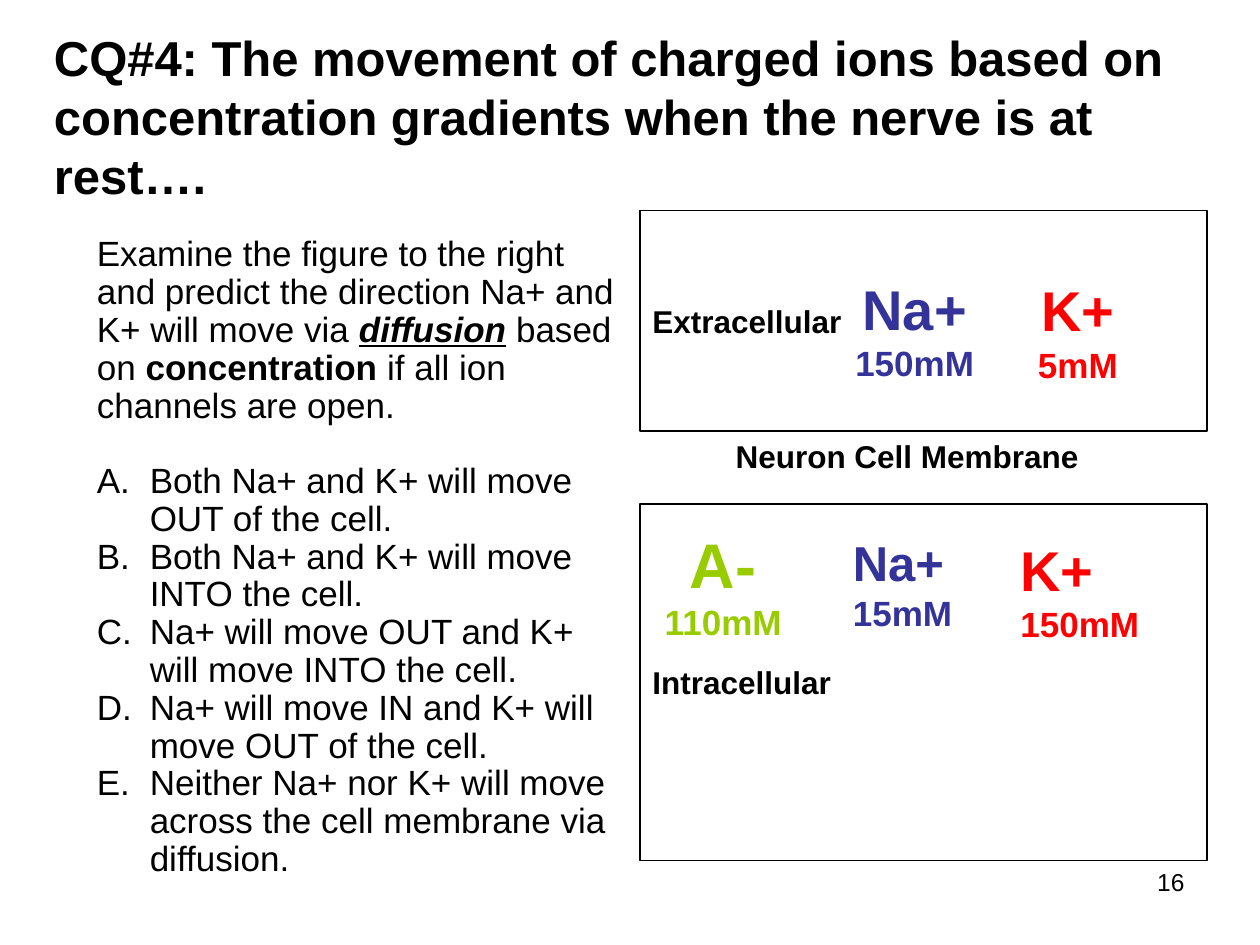
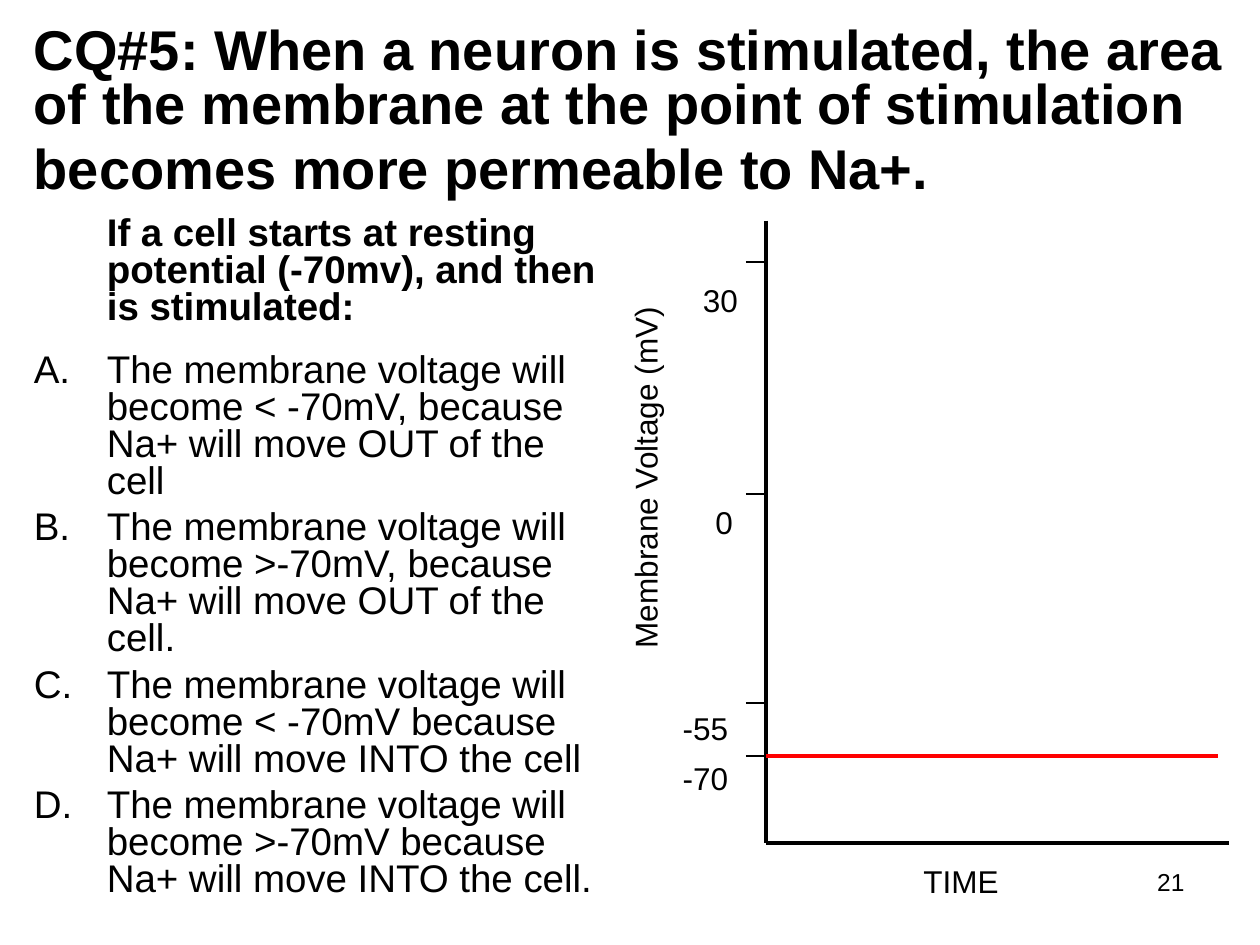
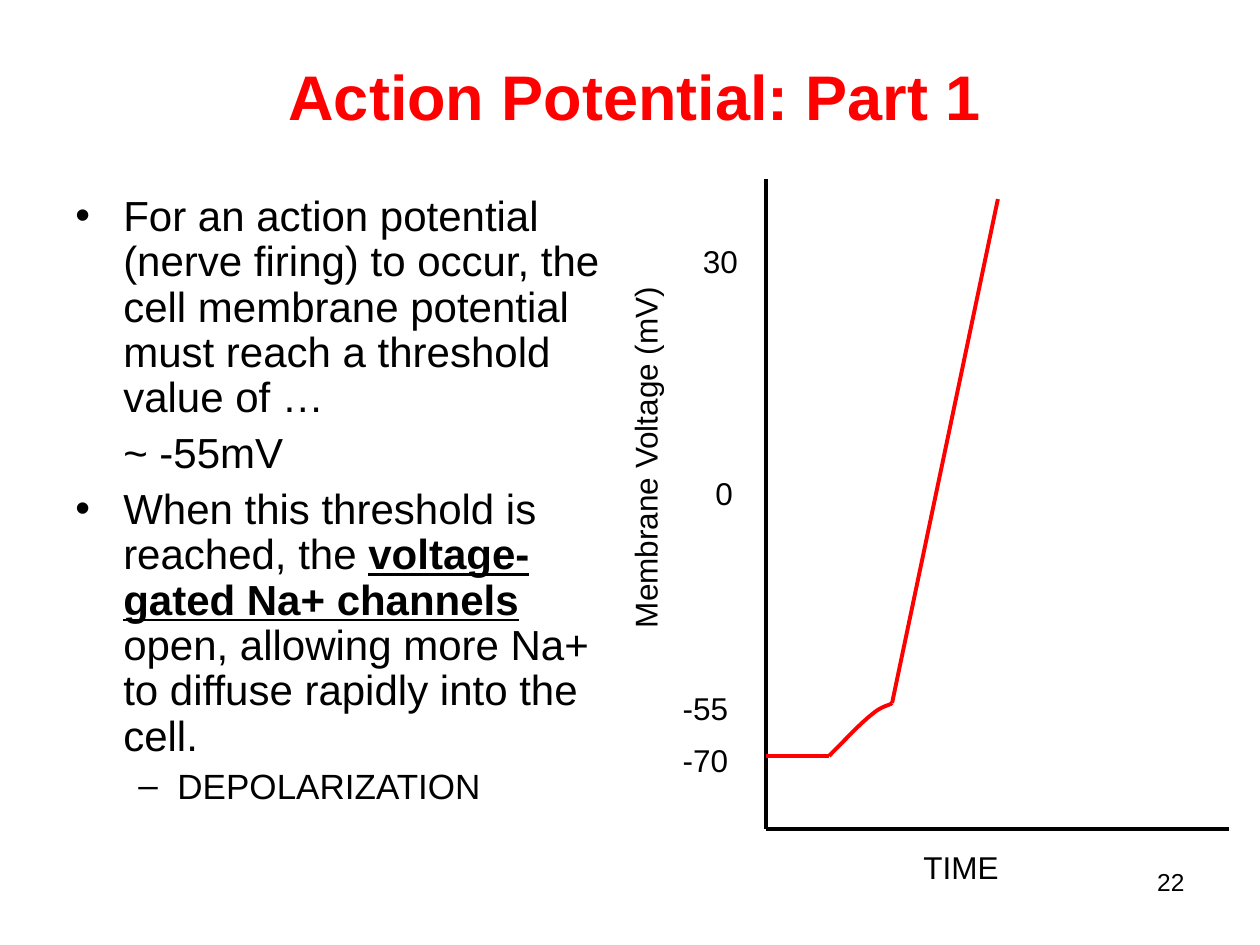
import pptx
import pptx.util
import pptx.dml.color
import pptx.enum.shapes
import pptx.enum.text
import pptx.oxml
import pptx.oxml.ns
from lxml import etree

Inches, Pt = pptx.util.Inches, pptx.util.Pt
RGBColor = pptx.dml.color.RGBColor
ALIGN = pptx.enum.text.PP_ALIGN
ANCHOR = pptx.enum.text.MSO_ANCHOR
AUTO_SIZE = pptx.enum.text.MSO_AUTO_SIZE

BLACK = RGBColor(0x00, 0x00, 0x00)
WHITE = RGBColor(0xFF, 0xFF, 0xFF)
RED = RGBColor(0xFF, 0x00, 0x00)
SODIUM_BLUE = RGBColor(0x33, 0x33, 0x99)
ANION_GREEN = RGBColor(0x99, 0xCC, 0x00)
FONT = "Arial"
THIN, THICK = 0.75, 2.25

# ---- Content: a text is a string, or a list of (string, format) runs ----
BOLD = {"bold": True}
LETTERED = ("buAutoNum", {"type": "alphaUcPeriod"})
DOT = ("buChar", {"char": "•"})
DASH = ("buChar", {"char": "–"})

DIFFUSION = {
    "number": "16",
    "title": "CQ#4: The movement of charged ions based on concentration "
             "gradients when the nerve is at rest….",
    "question": [
        ("Examine the figure to the right and predict the direction Na+ and "
         "K+ will move via ", {}),
        ("diffusion", {"bold": True, "italic": True, "underline": True}),
        (" based on ", {}), ("concentration", BOLD),
        (" if all ion channels are open.", {})],
    "answers": [
        "Both Na+ and K+ will move OUT of the cell.",
        "Both Na+ and K+ will move INTO the cell.",
        "Na+ will move OUT and K+ will move INTO the cell.",
        "Na+ will move IN and K+ will move OUT of the cell.",
        "Neither Na+ nor K+ will move across the cell membrane via diffusion."],
    "membrane": "Neuron Cell Membrane",
    # name, top, height
    "compartments": [("Extracellular", 1.67, 1.75), ("Intracellular", 4, 2.83)],
    # ion, concentration, ion size, colour, alignment, box
    "ions": [
        ("Na+", "150mM", 32, SODIUM_BLUE, ALIGN.CENTER, (6.66, 2.13, 1.2, 0.97)),
        ("K+", "5mM", 32, RED, ALIGN.CENTER, (8.11, 2.14, 0.89, 0.97)),
        ("A-", "110mM", 36, ANION_GREEN, ALIGN.CENTER, (5.14, 4.12, 1.2, 1.04)),
        ("Na+", "15mM", 28, SODIUM_BLUE, ALIGN.LEFT, (6.67, 4.18, 1.05, 0.9)),
        ("K+", "150mM", 32, RED, ALIGN.LEFT, (8, 4.2, 1.2, 0.97))],
}

STIMULUS = {
    "number": "21",
    "title": [("CQ#5: When a neuron is stimulated, the area of the membrane at "
               "the point of stimulation becomes more permeable to Na+.", BOLD),
              (" ", {"size": 40, "bold": False})],
    "question": "If a cell starts at resting potential (-70mv), and then is "
                "stimulated:",
    "answers": [
        "The membrane voltage will become < -70mV, because Na+ will move OUT of the cell",
        "The membrane voltage will become >-70mV, because Na+ will move OUT of the cell.",
        "The membrane voltage will become < -70mV because Na+ will move INTO the cell",
        "The membrane voltage will become >-70mV because Na+ will move INTO the cell."],
}

ACTION = {
    "number": "22",
    "title": "Action Potential: Part 1",
    "threshold": "For an action potential (nerve firing) to occur, the cell "
                 "membrane potential must reach a threshold value of …",
    "value": "~ -55mV",
    "channels": [("When this threshold is reached, the ", {}),
                 ("voltage-gated Na+ channels", {"bold": True, "underline": True}),
                 (" open, allowing more Na+ to diffuse rapidly into the cell.", {})],
    "phase": "DEPOLARIZATION",
}

# Voltage graph, shared by two slides
AXIS_X, AXIS_END = 6.08, 9.75
TICK_START = 5.92
REST_Y, THRESHOLD_Y = 6, 5.58
VOLTAGE_TICKS = [2.08, 3.92, THRESHOLD_Y, REST_Y]
# label, left, width, top as a share of the axis height
SCALE_LABELS = [("30", 5.48, 0.52, 0.087), ("0", 5.58, 0.38, 0.444),
                ("-55", 5.32, 0.6, 0.775), ("-70", 5.32, 0.6, 0.855),
                ("TIME", 7.23, 0.9, 1.02)]


# ---- Helpers ----
def format_font(font, formats):
    for name, value in formats.items():
        if name == "color":
            font.color.rgb = value
        else:
            setattr(font, name, Pt(value) if name == "size" else value)


def para(text, left=0, first=0, bullet=None, before=0, **formats):
    return {"text": text, "left": left, "first": first, "bullet": bullet,
            "before": before, "formats": formats}


def set_bullet(paragraph, left, first, bullet):
    properties = paragraph._p.get_or_add_pPr()
    properties.set("marL", str(Inches(left)))
    properties.set("indent", str(Inches(first)))
    parts = [("buFont", {"typeface": FONT}), bullet] if bullet else [("buNone", {})]
    for tag, attributes in parts:
        etree.SubElement(properties, pptx.oxml.ns.qn("a:" + tag), attributes)


def write(frame, paragraphs, size, color=BLACK, bold=False, align=ALIGN.LEFT,
          spacing=None):
    base = {"name": FONT, "size": size, "color": color, "bold": bold}
    for index, item in enumerate(paragraphs):
        item = para(item) if isinstance(item, str) else item
        paragraph = frame.paragraphs[0] if index == 0 else frame.add_paragraph()
        set_bullet(paragraph, item["left"], item["first"], item["bullet"])
        paragraph.alignment = align
        paragraph.space_before = Pt(item["before"])
        if spacing:
            paragraph.line_spacing = spacing
        runs = item["text"]
        for text, formats in [(runs, {})] if isinstance(runs, str) else runs:
            run = paragraph.add_run()
            run.text = text
            format_font(run.font, {**base, **item["formats"], **formats})


def add_text(slide, box, paragraphs, size, anchor=ANCHOR.TOP, fit=False, **style):
    text_box = slide.shapes.add_textbox(*map(Inches, box))
    frame = text_box.text_frame
    frame.word_wrap = not fit
    frame.auto_size = AUTO_SIZE.NONE
    frame.vertical_anchor = anchor
    write(frame, paragraphs, size, **style)
    return text_box


def add_line(slide, start, end, color=BLACK, width=THICK):
    line = slide.shapes.add_connector(
        pptx.enum.shapes.MSO_CONNECTOR.STRAIGHT, *map(Inches, (*start, *end)))
    line.line.color.rgb = color
    line.line.width = Pt(width)
    etree.SubElement(line._element.spPr, pptx.oxml.ns.qn("a:effectLst"))


def add_curve(slide, start, segments):
    points = []
    current = start
    for control_1, control_2, end in segments:
        for t in (step / 8 for step in range(1, 9)):
            weights = ((1 - t) ** 3, 3 * t * (1 - t) ** 2, 3 * t * t * (1 - t), t ** 3)
            corners = (current, control_1, control_2, end)
            points.append(tuple(
                Inches(sum(w * corner[axis] for w, corner in zip(weights, corners)))
                for axis in (0, 1)))
        current = end
    builder = slide.shapes.build_freeform(*map(Inches, start))
    builder.add_line_segments(points, close=False)
    curve = builder.convert_to_shape()
    curve.shadow.inherit = False
    curve.fill.background()
    curve.line.color.rgb = RED
    curve.line.width = Pt(THICK)


def add_slide(deck, content, title_box, title_size, **title_style):
    slide = deck.slides.add_slide(deck.slide_layouts[6])
    add_text(slide, (7.17, 6.83, 2.33, 0.52), [content["number"]], 14,
             align=ALIGN.RIGHT)
    add_text(slide, title_box, [para(content["title"])], title_size,
             anchor=ANCHOR.MIDDLE, bold=True, **title_style)
    return slide


def add_voltage_graph(slide, top, bottom, voltage_top):
    add_line(slide, (AXIS_X, top), (AXIS_X, bottom))
    add_line(slide, (AXIS_X, bottom), (AXIS_END, bottom))
    for label, left, width, share in SCALE_LABELS:
        box = (left, top + share * (bottom - top), width, 0.4)
        add_text(slide, box, [label], 18)
    voltage = add_text(slide, (3.62, voltage_top, 3, 0.4),
                       ["Membrane Voltage (mV)"], 18, align=ALIGN.CENTER)
    voltage.rotation = 270


# ---- Slides ----
def build_diffusion(deck):
    slide = add_slide(deck, DIFFUSION, (0.33, 0.17, 9.17, 1.5), 28)
    answers = [para(answer, 0.92, -0.42, LETTERED, 0 if index else 21.5)
               for index, answer in enumerate(DIFFUSION["answers"])]
    add_text(slide, (0.17, 1.83, 4.92, 5.33),
             [para(DIFFUSION["question"], 0.5)] + answers, 20, spacing=0.9)

    for name, top, height in DIFFUSION["compartments"]:
        compartment = slide.shapes.add_shape(
            pptx.enum.shapes.MSO_SHAPE.RECTANGLE,
            *map(Inches, (5.08, top, 4.5, height)))
        compartment.shadow.inherit = False
        compartment.fill.solid()
        compartment.fill.fore_color.rgb = WHITE
        compartment.line.color.rgb = BLACK
        compartment.line.width = Pt(THIN)
        compartment.text_frame.vertical_anchor = ANCHOR.MIDDLE
        write(compartment.text_frame, [name], 18, bold=True)

    add_text(slide, (5.74, 3.42, 3, 0.4), [DIFFUSION["membrane"]], 18, bold=True)
    for ion, concentration, size, color, align, box in DIFFUSION["ions"]:
        add_text(slide, box, [ion, para(concentration, size=20)], size,
                 color=color, bold=True, align=align)


def build_stimulus(deck):
    slide = add_slide(deck, STIMULUS, (0.17, 0.25, 9.75, 1.33), 32, spacing=0.8)
    answers = [para(answer, 0.58, -0.58, LETTERED, 5.5 if index else 15)
               for index, answer in enumerate(STIMULUS["answers"])]
    add_text(slide, (0.17, 1.67, 4.67, 5.67),
             [para(STIMULUS["question"], 0.58, bold=True)] + answers, 22,
             spacing=0.8)
    for tick in VOLTAGE_TICKS:
        add_line(slide, (TICK_START, tick), (AXIS_X, tick), width=THIN)
    add_voltage_graph(slide, 1.75, 6.69, 3.59)
    add_line(slide, (AXIS_X, REST_Y), (9.67, REST_Y), RED)


def build_action(deck):
    slide = add_slide(deck, ACTION, (0.58, 0.42, 8.92, 0.67), 36,
                      color=RED, align=ALIGN.CENTER)
    add_text(slide, (0.5, 1.5, 4.42, 5.2), [
        para(ACTION["threshold"], 0.38, -0.38, DOT),
        para(ACTION["value"], 0.38, before=6),
        para(ACTION["channels"], 0.38, -0.38, DOT, 6),
        para(ACTION["phase"], 0.81, -0.31, DASH, 5, size=20)], 24, spacing=0.9)
    add_voltage_graph(slide, 1.42, 6.58, 3.43)

    # Rest, rise to threshold, depolarization
    stimulus, threshold = (6.58, REST_Y), (7.08, THRESHOLD_Y)
    add_line(slide, (AXIS_X, REST_Y), stimulus, RED)
    add_curve(slide, stimulus, [((6.71, 5.87), (6.83, 5.74), (6.92, 5.67)),
                                ((7, 5.6), (7.06, 5.6), threshold)])
    add_line(slide, threshold, (7.92, 1.58), RED)


def main():
    deck = pptx.Presentation()
    deck.slide_width, deck.slide_height = Inches(10), Inches(7.5)
    for build in (build_diffusion, build_stimulus, build_action):
        build(deck)
    deck.save("out.pptx")


if __name__ == "__main__":
    main()
